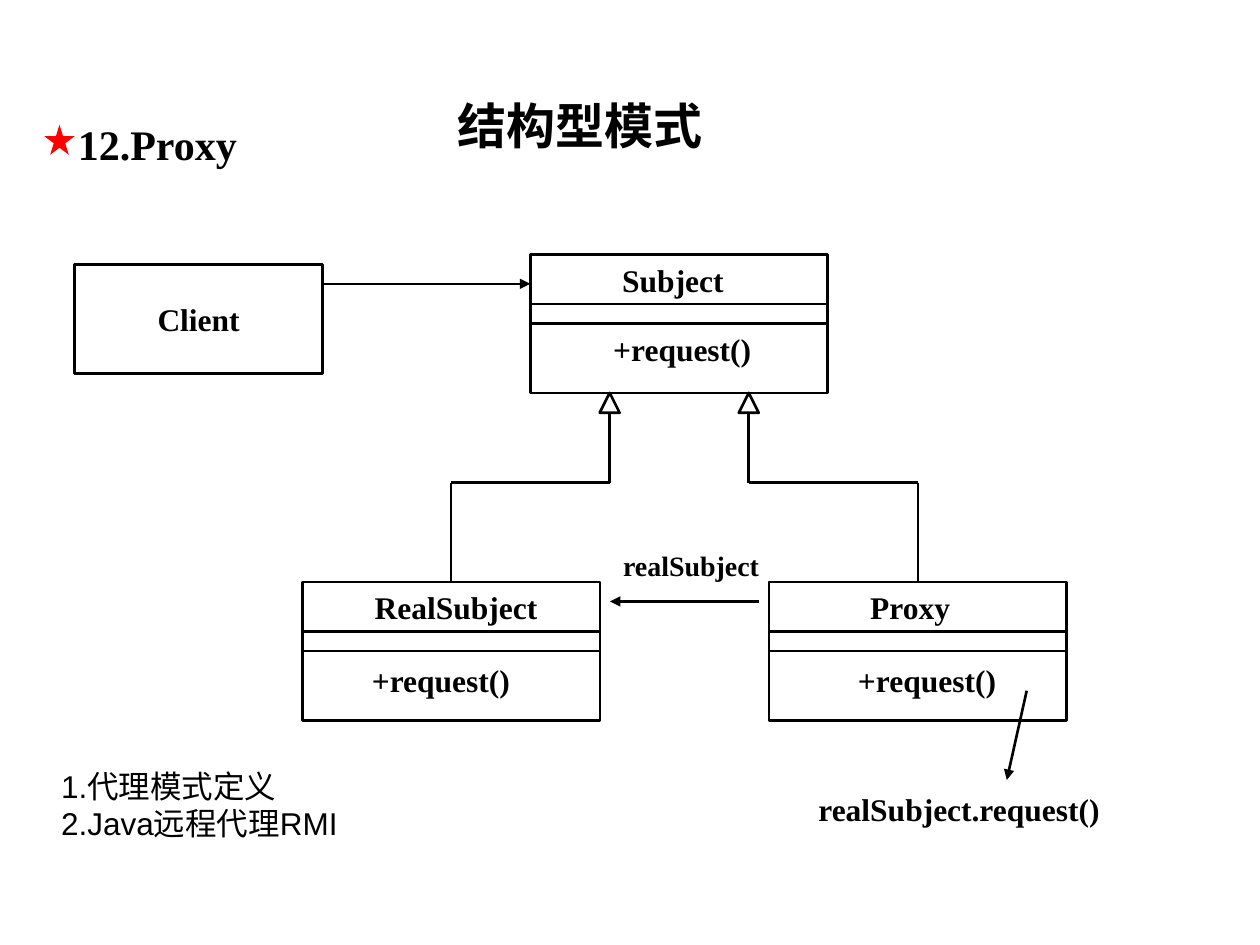
from lxml import etree
from pptx import Presentation
from pptx.dml.color import RGBColor
from pptx.enum import shapes as kinds, text
from pptx.oxml.ns import qn
from pptx.util import Pt

BLACK = "000000"
SERIF = "Times New Roman"
CLASS_W, CLASS_H = 170, 79
SUBJECT = (303, 145.5)
REAL_SUBJECT = (172.8, 332.6)
PROXY = (439.5, 332.6)


def color(hex_code):
    return RGBColor.from_string(hex_code)


def write(frame, lines, size, font, bold):
    frame.word_wrap = False
    frame.text = "\n".join(lines)
    for paragraph in frame.paragraphs:
        paragraph.font.size = Pt(size)
        paragraph.font.name = font
        paragraph.font.bold = bold
        paragraph.font.color.rgb = color(BLACK)


def add_label(slide, left, top, width, height, *lines, size=18, font=SERIF, bold=True):
    box = slide.shapes.add_textbox(Pt(left), Pt(top), Pt(width), Pt(height))
    write(box.text_frame, lines, size, font, bold)
    box.text_frame.auto_size = text.MSO_AUTO_SIZE.SHAPE_TO_FIT_TEXT


def add_outline(slide, kind, left, top, width, height):
    outline = slide.shapes.add_shape(kind, Pt(left), Pt(top), Pt(width), Pt(height))
    outline.shadow.inherit = False
    outline.fill.background()
    outline.line.color.rgb = color(BLACK)
    outline.line.width = Pt(1.5)
    return outline


def add_line(slide, start, end, arrow=False):
    line = slide.shapes.add_connector(
        kinds.MSO_CONNECTOR.STRAIGHT, *(Pt(v) for v in (*start, *end)))
    line.line.color.rgb = color(BLACK)
    line.line.width = Pt(1.5)
    if arrow:
        stroke = line._element.spPr.find(qn("a:ln"))
        etree.SubElement(stroke, qn("a:tailEnd"), type="triangle")
    etree.SubElement(line._element.spPr, qn("a:effectLst"))


def add_class(slide, corner):
    """Draw a class box with its name, attribute and method compartments."""
    left, top = corner
    add_outline(slide, kinds.MSO_SHAPE.RECTANGLE, left, top, CLASS_W, CLASS_H)
    for offset in (28.2, 39.5):
        add_line(slide, (left, top + offset), (left + CLASS_W, top + offset))


def add_inheritance(slide, parent_x, child_x):
    """Draw the hollow arrowhead under Subject and the bent line to a subclass."""
    head_top = SUBJECT[1] + CLASS_H
    head, bend_y = 11.4, 275.8
    add_outline(slide, kinds.MSO_SHAPE.ISOSCELES_TRIANGLE,
                parent_x - head / 2, head_top, head, head)
    route = [(parent_x, head_top + head), (parent_x, bend_y),
             (child_x, bend_y), (child_x, REAL_SUBJECT[1])]
    for start, end in zip(route, route[1:]):
        add_line(slide, start, end)


def add_client(slide):
    client = add_outline(slide, kinds.MSO_SHAPE.RECTANGLE, 42.5, 151, 142, 62.5)
    write(client.text_frame, ["Client"], 18, SERIF, True)
    client.text_frame.vertical_anchor = text.MSO_ANCHOR.MIDDLE
    client.text_frame.paragraphs[0].alignment = text.PP_ALIGN.CENTER


def add_star(slide):
    star = slide.shapes.add_shape(
        kinds.MSO_SHAPE.STAR_5_POINT, Pt(25.4), Pt(71.3), Pt(17.2), Pt(17.2))
    star.shadow.inherit = False
    star.fill.solid()
    star.fill.fore_color.rgb = color("FF0000")
    star.line.fill.background()


def main():
    deck = Presentation()
    deck.slide_width, deck.slide_height = Pt(720), Pt(540)
    slide = deck.slides.add_slide(deck.slide_layouts[6])

    add_label(slide, 254.4, 51, 155, 41, "结构型模式", size=28, font="Arial")
    add_star(slide)
    add_label(slide, 37.4, 64.3, 107, 36, "12.Proxy", size=24)

    for corner in (SUBJECT, REAL_SUBJECT, PROXY):
        add_class(slide, corner)
    add_inheritance(slide, 348.4, REAL_SUBJECT[0] + CLASS_W / 2)
    add_inheritance(slide, 427.9, PROXY[0] + CLASS_W / 2)
    add_client(slide)

    add_label(slide, 348.5, 145.5, 75, 29, "Subject")
    add_label(slide, 207, 332.6, 110, 29, "RealSubject")
    add_label(slide, 490.2, 332.6, 62, 29, "Proxy")
    for left, top in ((343.3, 185.2), (205.4, 374), (483.2, 374)):
        add_label(slide, left, top, 95, 29, "+request()")

    add_line(slide, (184.5, 162.2), (SUBJECT[0], 162.2), arrow=True)
    add_line(slide, (433.7, 343.7), (348.6, 343.7), arrow=True)
    add_label(slide, 349, 310, 94, 26.6, "realSubject", size=16)
    add_line(slide, (586.7, 394.7), (575.3, 445.7), arrow=True)
    add_label(slide, 460.6, 447.8, 177, 29, "realSubject.request()")
    add_label(slide, 27.8, 434.5, 182, 50.4, "1.代理模式定义", "2.Java远程代理RMI",
              font="Arial", bold=False)

    deck.save("out.pptx")


if __name__ == "__main__":
    main()
